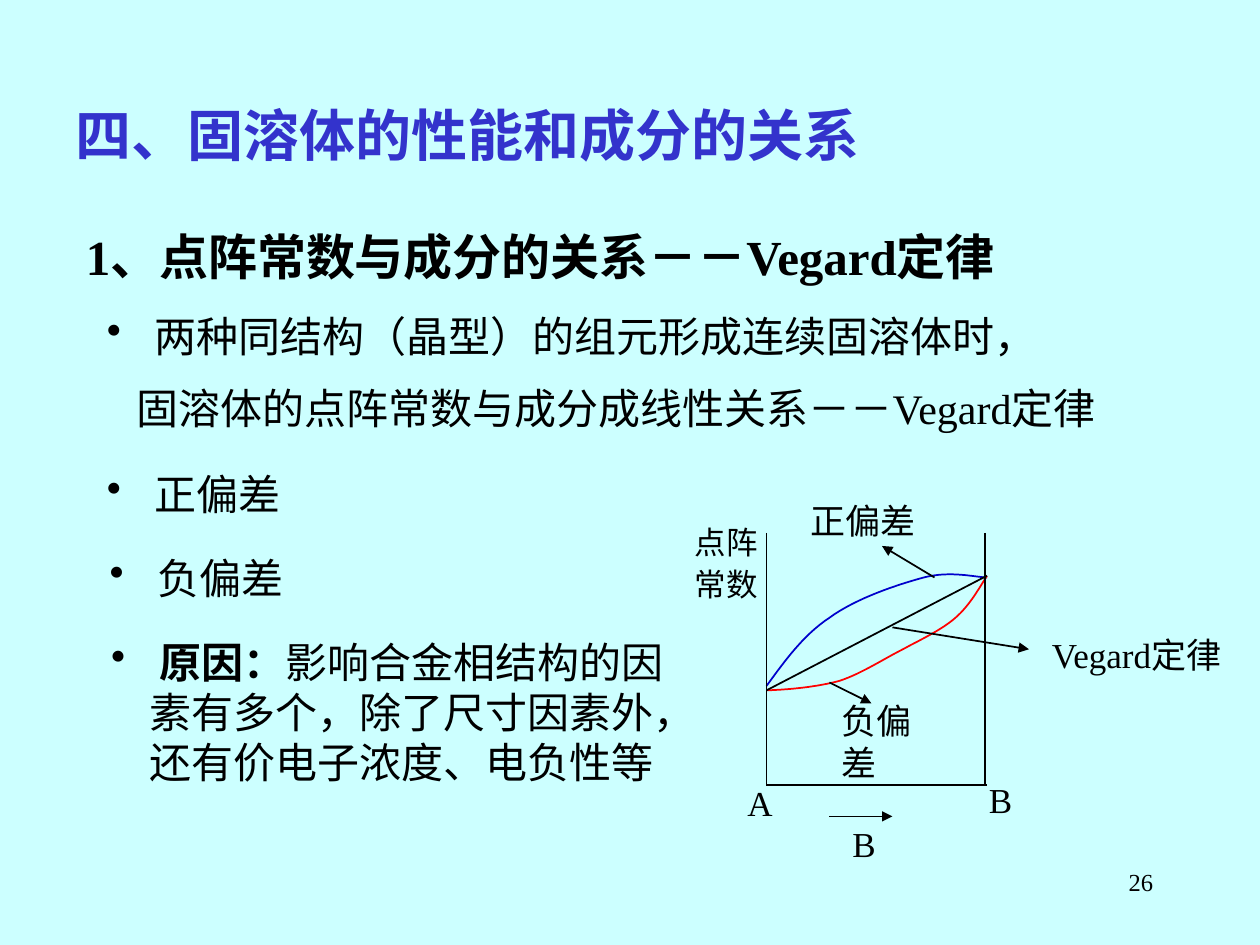
from dataclasses import dataclass

from lxml.etree import SubElement
from pptx import Presentation
from pptx.dml.color import RGBColor
from pptx.enum.shapes import MSO_CONNECTOR
from pptx.enum.text import PP_ALIGN
from pptx.oxml.ns import qn
from pptx.util import Pt


@dataclass(frozen=True)
class Theme:
    font: str = "Times New Roman"
    background: str = "CCFFFF"
    title: str = "3333CC"
    ink: str = "000000"
    positive: str = "0000CC"
    negative: str = "FF0000"
    title_size: int = 32
    heading_size: int = 28
    body_size: int = 24
    label_size: int = 20
    axis_size: int = 18
    number_size: int = 14
    line_width: int = 1
    bullet_indent: int = 22


class SlideBuilder:
    def __init__(self, s, theme):
        self.s = s
        self.theme = theme
        fill = s.background.fill
        fill.solid()
        fill.fore_color.rgb = RGBColor.from_string(theme.background)

    def text_box(self, x, y, w, h, wrap=True):
        tf = self.s.shapes.add_textbox(Pt(x), Pt(y), Pt(w), Pt(h)).text_frame
        tf.word_wrap = wrap
        return tf

    def paragraph(self, tf, runs, size, color=None, first=True, before=0,
                  spacing=None, align=None, indent=0, bullet=False):
        """Fill one paragraph; runs is a list of (text, bold) pairs."""
        p = tf.paragraphs[0] if first else tf.add_paragraph()
        p.space_before = Pt(before)
        p.line_spacing = spacing
        p.alignment = align
        pPr = p._p.get_or_add_pPr()
        pPr.set("marL", str(Pt(indent)))
        if bullet:
            pPr.set("indent", str(-Pt(indent)))
            SubElement(pPr, qn("a:buChar")).set("char", "•")
        for text, bold in runs:
            r = p.add_run()
            r.text = text
            r.font.name = self.theme.font
            r.font.size = Pt(size)
            r.font.bold = bold
            r.font.color.rgb = RGBColor.from_string(color or self.theme.ink)

    def label(self, text, x, y, w, h, size, bold=False, color=None,
              align=None, wrap=True):
        tf = self.text_box(x, y, w, h, wrap)
        self.paragraph(tf, [(text, bold)], size, color, align=align)

    def bullet(self, runs, x, y, w, h):
        tf = self.text_box(x, y, w, h)
        self.paragraph(tf, runs, self.theme.body_size,
                       indent=self.theme.bullet_indent, bullet=True)
        return tf

    def line(self, x1, y1, x2, y2, arrow=False):
        c = self.s.shapes.add_connector(
            MSO_CONNECTOR.STRAIGHT, Pt(x1), Pt(y1), Pt(x2), Pt(y2))
        c.line.color.rgb = RGBColor.from_string(self.theme.ink)
        c.line.width = Pt(self.theme.line_width)
        if arrow:
            SubElement(c.line._get_or_add_ln(), qn("a:tailEnd")).set("type", "triangle")
        SubElement(c._element.spPr, qn("a:effectLst"))

    def curve(self, nodes, color, steps=16):
        """Draw joined cubic Bezier pieces: start, then three nodes a piece."""
        points = []
        for i in range(0, len(nodes) - 1, 3):
            a, b, c, d = nodes[i:i + 4]
            for n in range(1, steps + 1):
                t = n / steps
                u = 1 - t
                points.append(tuple(
                    Pt(u**3 * a[k] + 3 * u * u * t * b[k]
                       + 3 * u * t * t * c[k] + t**3 * d[k]) for k in (0, 1)))
        x, y = nodes[0]
        builder = self.s.shapes.build_freeform(Pt(x), Pt(y))
        builder.add_line_segments(points, close=False)
        sp = builder.convert_to_shape()
        sp.shadow.inherit = False
        sp.fill.background()
        sp.line.color.rgb = RGBColor.from_string(color)
        sp.line.width = Pt(self.theme.line_width)


def main():
    prs = Presentation()
    prs.slide_width, prs.slide_height = Pt(720), Pt(540)
    theme = Theme()
    b = SlideBuilder(prs.slides.add_slide(prs.slide_layouts[6]), theme)

    # Title, heading and slide number
    b.label("四、固溶体的性能和成分的关系", 36, 54, 516, 54,
            theme.title_size, bold=True, color=theme.title)
    b.label("1、点阵常数与成分的关系－－Vegard定律", 42, 126, 648, 41,
            theme.heading_size, bold=True)
    b.label("26", 516, 492, 150, 36, theme.number_size, align=PP_ALIGN.RIGHT)

    # Bullets
    tf = b.bullet([(" 两种同结构（晶型）的组元形成连续固溶体时，", False)], 54, 174, 606, 80)
    b.paragraph(tf, [("固溶体的点阵常数与成分成线性关系－－Vegard定律", False)],
                theme.body_size, first=False, before=12, indent=17)
    b.bullet([(" 正偏差", False)], 54, 264, 204, 36)
    b.bullet([(" 负偏差", False)], 55.5, 312, 204, 36)
    b.bullet([(" 原因：", True),
              ("影响合金相结构的因素有多个，除了尺寸因素外，还有价电子浓度、电负性等", False)],
             56.5, 360, 333, 94)

    # Diagram: deviation curves
    b.curve([(438, 392), (449, 377), (459, 363), (474, 353), (489, 342),
             (513, 334), (528, 330), (543, 326), (558, 330), (564, 330)],
            theme.positive)
    b.curve([(438, 394.5), (452, 394), (467, 392.5), (480, 389), (493, 384.5),
             (505, 376.5), (516, 371), (527, 365), (538, 360), (546, 353),
             (554, 346), (559, 337), (564, 329)], theme.negative)

    # Diagram: axes and the linear law
    left, right, top, bottom = 438, 563, 304.5, 448.5
    for x in (left, right):
        b.line(x, top, x, bottom)
    b.line(left, bottom, 564, bottom)
    b.line(left, 394.5, 564, 329)

    # Diagram: composition arrow and pointers to the labels
    for ends in ((474, 466.5, 510, 466.5), (510, 358.5, 588, 371),
                 (534, 330, 504, 312), (474, 390, 498, 402)):
        b.line(*ends, arrow=True)

    # Diagram: labels
    for text, x, y, w in (("A", 420, 443, 30), ("B", 558, 441.5, 30),
                          ("B", 480, 466.5, 30), ("Vegard定律", 594, 358.5, 114),
                          ("正偏差", 456, 282, 75.5)):
        b.label(text, x, y, w, 31, theme.label_size)
    b.label("负偏差", 474, 396, 74, 31, theme.label_size, wrap=False)
    tf = b.text_box(390, 298, 54, 48)
    b.paragraph(tf, [("点阵", False)], theme.axis_size, spacing=0.9)
    b.paragraph(tf, [("常数", False)], theme.axis_size, first=False,
                before=11, spacing=0.5)

    prs.save("out.pptx")


if __name__ == "__main__":
    main()
